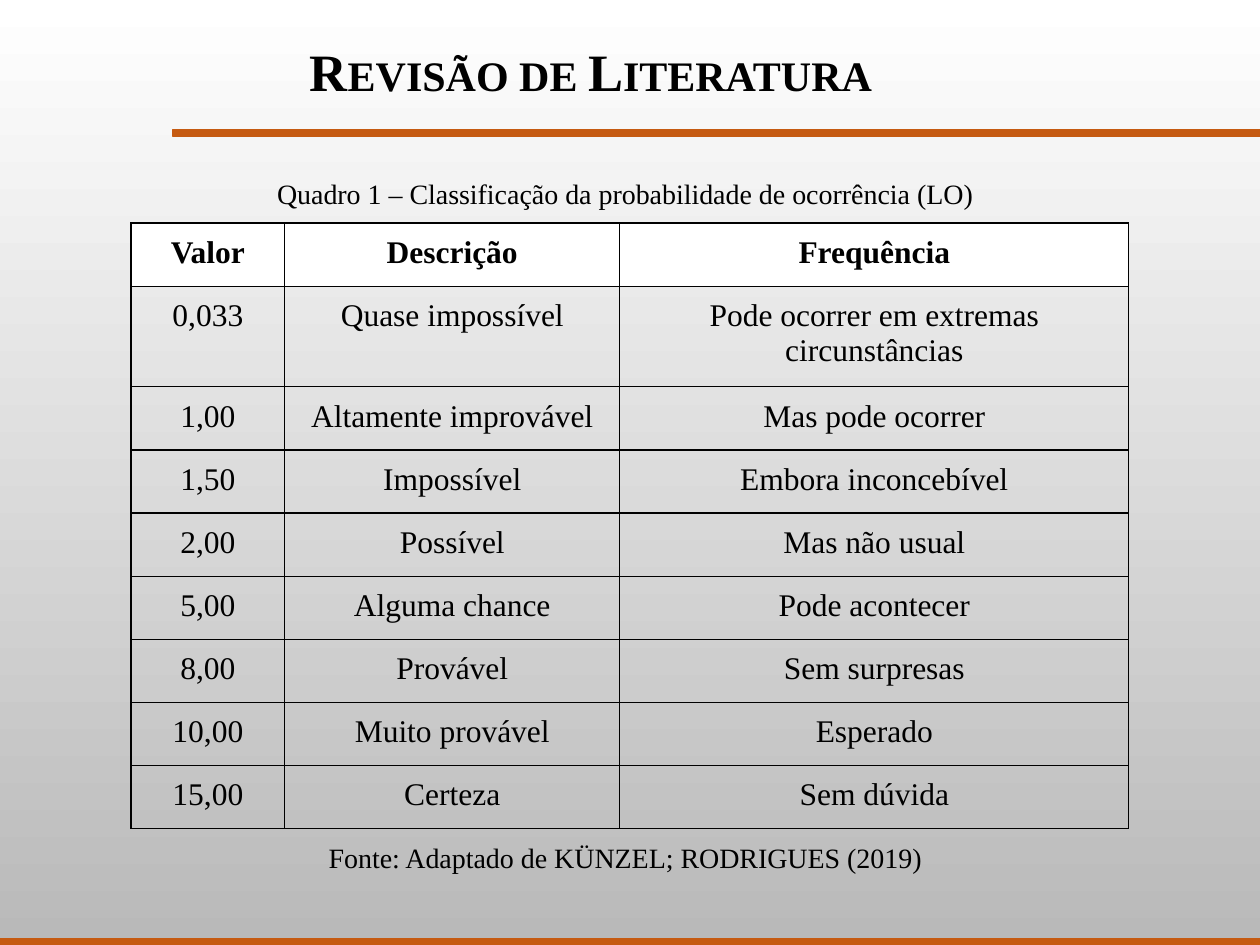
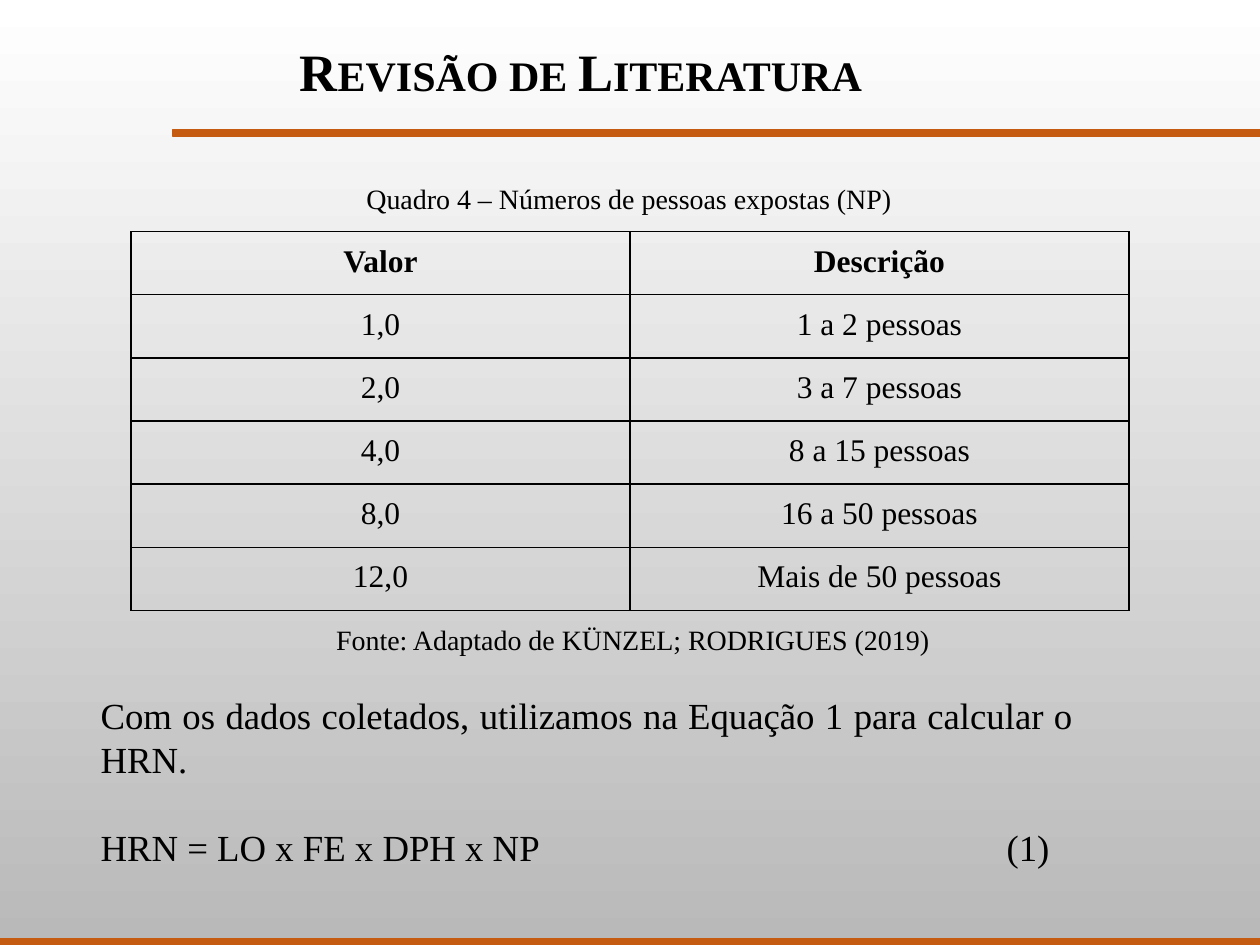
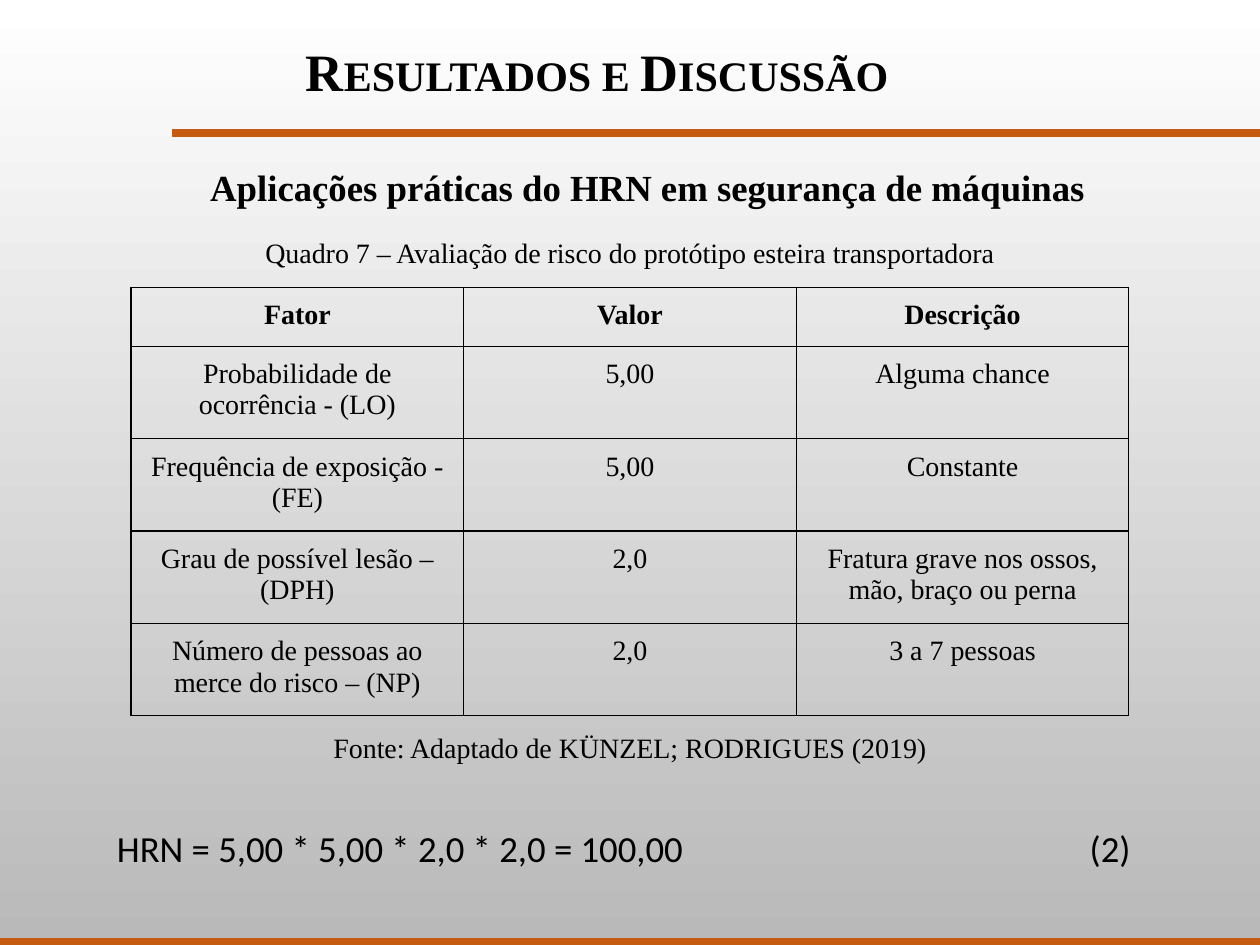
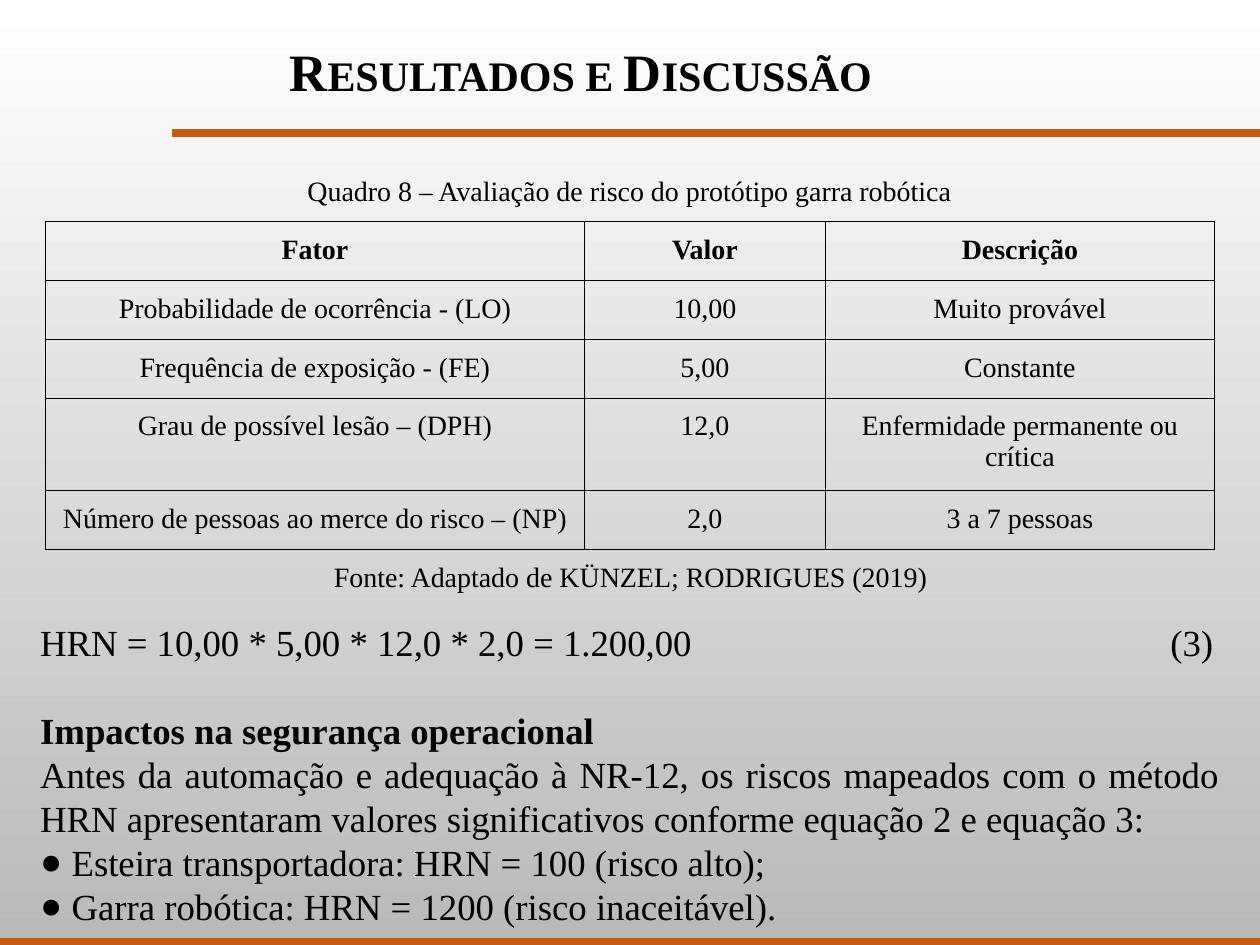
from lxml import etree
from pptx import Presentation
from pptx import util as u
from pptx.dml.color import RGBColor
from pptx.enum import shapes, text
from pptx.oxml import ns

PX = 9144  # EMU; 100 px to the inch
COLORS = {"text": "000000", "band": "C55A11", "head": "FFFFFF",
          "sky": "FFFFFF", "ground": "B9B9B9", "border": "000000"}
SERIF, SANS = "Times New Roman", "Calibri"
LEFT, CENTER, JUSTIFY = (text.PP_ALIGN.LEFT, text.PP_ALIGN.CENTER,
                         text.PP_ALIGN.JUSTIFY)
BANDS = [(0, 745, 1000, 5), (137, 103, 863, 5)]
ROW_HEIGHT = 42
SOURCE = "Fonte: Adaptado de KÜNZEL; RODRIGUES (2019)"

# Text styles: font values, then paragraph values
TITLE = {"size": 30, "bold": True, "small_caps": True}
HEADING = {"size": 21, "bold": True}
CAPTION = {"size": 16}
CAPTION_CENTER = {"size": 16, "alignment": CENTER}
BODY = {"size": 21, "alignment": JUSTIFY}
STRONG = BODY | {"bold": True, "space_before": u.Pt(25)}
BULLET = BODY | {"bullet": 25}
EQUATION = BODY | {"tab": 719, "space_before": u.Pt(25)}

SLIDES = [
    {
        "title": ("Revisão de Literatura", (207, 26, 524, 61), CENTER),
        "table": {
            "at": (104, 177, 792, 457), "size": 18, "head": "head",
            "columns": [122, 266, 404],
            "rows": [
                ("Valor", "Descrição", "Frequência"),
                ("0,033", "Quase impossível",
                 "Pode ocorrer em extremas circunstâncias"),
                ("1,00", "Altamente improvável", "Mas pode ocorrer"),
                ("1,50", "Impossível", "Embora inconcebível"),
                ("2,00", "Possível", "Mas não usual"),
                ("5,00", "Alguma chance", "Pode acontecer"),
                ("8,00", "Provável", "Sem surpresas"),
                ("10,00", "Muito provável", "Esperado"),
                ("15,00", "Certeza", "Sem dúvida"),
            ],
        },
        "texts": [
            ((210, 130, 579, 47),
             [("Quadro 1 – Classificação da probabilidade de ocorrência (LO)", CAPTION)]),
            ((251, 657, 498, 47), [(SOURCE, CAPTION)]),
        ],
    },
    {
        "title": ("Revisão de Literatura", (199, 26, 524, 61), CENTER),
        "table": {
            "at": (104, 184, 792, 286), "size": 18,
            "columns": [396, 396],
            "rows": [
                ("Valor", "Descrição"),
                ("1,0", "1 a 2 pessoas"),
                ("2,0", "3 a 7 pessoas"),
                ("4,0", "8 a 15 pessoas"),
                ("8,0", "16 a 50 pessoas"),
                ("12,0", "Mais de 50 pessoas"),
            ],
        },
        "texts": [
            ((281, 134, 447, 47),
             [("Quadro 4 – Números de pessoas expostas (NP)", CAPTION)]),
            ((257, 484, 496, 47), [(SOURCE, CAPTION)]),
            ((70, 540, 792, 162), [
                ("Com os dados coletados, utilizamos na Equação 1 para calcular o HRN.", BODY),
                ("HRN = LO x FE x DPH x NP\t(1)", EQUATION),
            ]),
        ],
    },
    {
        "title": ("Resultados e Discussão", (233, 26, 525, 61), LEFT),
        "table": {
            "at": (104, 228, 792, 340), "size": 16,
            "columns": [264, 264, 264],
            "rows": [
                ("Fator", "Valor", "Descrição"),
                ("Probabilidade de ocorrência - (LO)", "5,00", "Alguma chance"),
                ("Frequência de exposição - (FE)", "5,00", "Constante"),
                ("Grau de possível lesão – (DPH)", "2,0",
                 "Fratura grave nos ossos, mão, braço ou perna"),
                ("Número de pessoas ao merce do risco – (NP)", "2,0", "3 a 7 pessoas"),
            ],
        },
        "texts": [
            ((157, 121, 723, 56),
             [("Aplicações práticas do HRN em segurança de máquinas", HEADING)]),
            ((92, 177, 816, 47),
             [("Quadro 7 – Avaliação de risco do protótipo esteira transportadora",
               CAPTION_CENTER)]),
            ((194, 570, 612, 47), [(SOURCE, CAPTION_CENTER)]),
            ((83, 645, 834, 56),
             [("HRN = 5,00 * 5,00 * 2,0 * 2,0 = 100,00\t(2)",
               {"size": 21, "name": SANS, "tab": 772})]),
        ],
    },
    {
        "title": ("Resultados e Discussão", (220, 26, 525, 61), LEFT),
        "table": {
            "at": (36, 176, 928, 248), "size": 16,
            "columns": [428, 191, 309],
            "rows": [
                ("Fator", "Valor", "Descrição"),
                ("Probabilidade de ocorrência - (LO)", "10,00", "Muito provável"),
                ("Frequência de exposição - (FE)", "5,00", "Constante"),
                ("Grau de possível lesão – (DPH)", "12,0",
                 "Enfermidade permanente ou crítica"),
                ("Número de pessoas ao merce do risco – (NP)", "2,0", "3 a 7 pessoas"),
            ],
        },
        "texts": [
            ((152, 128, 695, 47),
             [("Quadro 8 – Avaliação de risco do protótipo garra robótica", CAPTION_CENTER)]),
            ((178, 434, 645, 47), [(SOURCE, CAPTION_CENTER)]),
            ((22, 482, 956, 268), [
                ("HRN = 10,00 * 5,00 * 12,0 * 2,0 = 1.200,00\t(3)", BODY | {"tab": 897}),
                ("Impactos na segurança operacional", STRONG),
                ("Antes da automação e adequação à NR-12, os riscos mapeados com o método "
                 "HRN apresentaram valores significativos conforme equação 2 e equação 3:", BODY),
                ("Esteira transportadora: HRN = 100 (risco alto);", BULLET),
                ("Garra robótica: HRN = 1200 (risco inaceitável).", BULLET),
            ]),
        ],
    },
]


def emu(lengths):
    return [length * PX for length in lengths]


def rgb(key):
    return RGBColor.from_string(COLORS[key])


def add_element(parent, tag, **attributes):
    element = etree.SubElement(parent, ns.qn(tag))
    for name, value in attributes.items():
        element.set(name, str(value))
    return element


def write(paragraph, content, style):
    """Fill one paragraph and apply a style dict to it and its run."""
    properties = paragraph._p.get_or_add_pPr()
    if "bullet" in style:
        properties.set("marL", str(style["bullet"] * PX))
        properties.set("indent", str(-style["bullet"] * PX))
        add_element(properties, "a:buFont", typeface=SERIF)
        add_element(properties, "a:buChar", char="●")
    if "tab" in style:
        tabs = add_element(properties, "a:tabLst")
        add_element(tabs, "a:tab", pos=style["tab"] * PX, algn="l")
    for name in ("alignment", "space_before"):
        if name in style:
            setattr(paragraph, name, style[name])
    run = paragraph.add_run()
    run.text = content
    font = {"name": style.get("name", SERIF), "size": u.Pt(style["size"]),
            "bold": style.get("bold", False)}
    for name, value in font.items():
        setattr(run.font, name, value)
    run.font.color.rgb = rgb("text")
    if style.get("small_caps"):
        run.font._element.set("cap", "small")


def add_text(slide, at, paragraphs, inset=10):
    frame = slide.shapes.add_textbox(*emu(at)).text_frame
    frame.word_wrap = True
    for side, margin in {"left": 10, "right": 10, "top": inset, "bottom": inset}.items():
        setattr(frame, f"margin_{side}", margin * PX)
    for index, (content, style) in enumerate(paragraphs):
        paragraph = frame.add_paragraph() if index else frame.paragraphs[0]
        write(paragraph, content, style)


def add_band(slide, at):
    band = slide.shapes.add_shape(shapes.MSO_SHAPE.RECTANGLE, *emu(at))
    band.shadow.inherit = False
    band.fill.solid()
    band.fill.fore_color.rgb = band.line.color.rgb = rgb("band")
    band.line.width = u.Pt(1)


def format_cell(cell, fill):
    for side in ("left", "right", "top", "bottom"):
        setattr(cell, f"margin_{side}", 10 * PX)
    properties = cell._tc.get_or_add_tcPr()
    for side in "LRTB":
        line = add_element(properties, f"a:ln{side}", w=u.Pt(0.75))
        solid = add_element(line, "a:solidFill")
        add_element(solid, "a:srgbClr", val=COLORS["border"])
    if fill:
        cell.fill.solid()
        cell.fill.fore_color.rgb = rgb(fill)
    else:
        cell.fill.background()


def add_table(slide, spec):
    rows, columns = spec["rows"], spec["columns"]
    frame = slide.shapes.add_table(len(rows), len(columns), *emu(spec["at"]))
    table = frame.table
    table.first_row = table.horz_banding = False
    for column, width in zip(table.columns, columns):
        column.width = width * PX
    for index, (row, contents) in enumerate(zip(table.rows, rows)):
        row.height = ROW_HEIGHT * PX
        is_head = index == 0
        style = {"size": spec["size"], "bold": is_head, "alignment": CENTER}
        for cell, content in zip(row.cells, contents):
            format_cell(cell, spec.get("head") if is_head else None)
            write(cell.text_frame.paragraphs[0], content, style)
    frame.height = spec["at"][3] * PX


def paint_background(slide):
    fill = slide.background.fill
    fill.gradient()
    fill.gradient_angle = 270
    for stop, key, position in zip(fill.gradient_stops, ("sky", "ground"), (0, 1)):
        stop.color.rgb = rgb(key)
        stop.position = position


def main():
    presentation = Presentation()
    presentation.slide_width, presentation.slide_height = emu((1000, 750))
    for content in SLIDES:
        slide = presentation.slides.add_slide(presentation.slide_layouts[6])
        paint_background(slide)
        title, at, alignment = content["title"]
        add_text(slide, at, [(title, TITLE | {"alignment": alignment})], inset=5)
        for band in BANDS:
            add_band(slide, band)
        add_table(slide, content["table"])
        for at, paragraphs in content["texts"]:
            add_text(slide, at, paragraphs)
    presentation.save("out.pptx")


if __name__ == "__main__":
    main()
